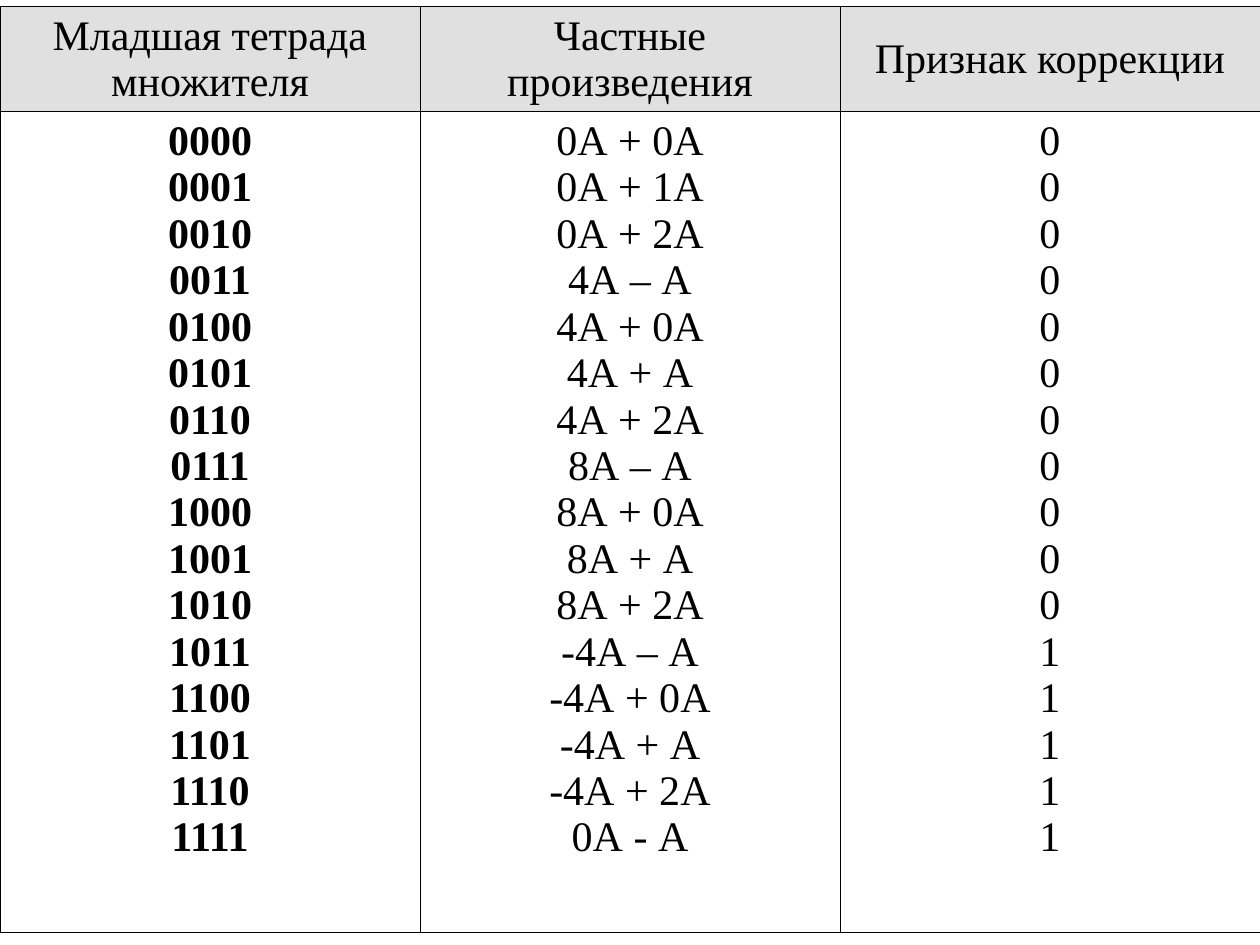
from lxml.etree import SubElement
from pptx import Presentation
from pptx.dml.color import RGBColor
from pptx.enum.text import MSO_ANCHOR, PP_ALIGN
from pptx.oxml.ns import qn
from pptx.util import Inches, Pt

BLACK = RGBColor(0x00, 0x00, 0x00)
HEADER_GRAY = RGBColor(0xE0, 0xE0, 0xE0)
FONT_NAME = "Times New Roman"
FONT_SIZE = Pt(24)
BORDER_WIDTH = Pt(0.45)

HEADERS = ["Младшая тетрада множителя", "Частные произведения", "Признак коррекции"]
PARTIAL_PRODUCTS = [
    "0А + 0А", "0А + 1А", "0А + 2А", "4А – А",
    "4А + 0А", "4А + А", "4А + 2А", "8А – А",
    "8А + 0А", "8А + А", "8А + 2А", "-4А – А",
    "-4А + 0А", "-4А + А", "-4А + 2А", "0А - А",
]
FIRST_CORRECTED = 11  # correction is needed from this tetrad on


def set_borders(cell):
    properties = cell._tc.get_or_add_tcPr()
    # Borders must come before the fill in the cell properties
    for index, side in enumerate(("a:lnL", "a:lnR", "a:lnT", "a:lnB")):
        line = SubElement(properties, qn(side), w=str(int(BORDER_WIDTH)))
        properties.insert(index, line)
        fill = SubElement(line, qn("a:solidFill"))
        SubElement(fill, qn("a:srgbClr"), val=str(BLACK))


def fill_cell(cell, lines, bold=False, color=None, anchor=MSO_ANCHOR.TOP):
    cell.margin_left = cell.margin_right = Inches(0.08)
    cell.margin_top = cell.margin_bottom = Inches(0.05)
    cell.vertical_anchor = anchor
    if color is None:
        cell.fill.background()
    else:
        cell.fill.solid()
        cell.fill.fore_color.rgb = color
    set_borders(cell)

    frame = cell.text_frame
    for index, text in enumerate(lines):
        paragraph = frame.add_paragraph() if index else frame.paragraphs[0]
        paragraph.alignment = PP_ALIGN.CENTER
        run = paragraph.add_run()
        run.text = text
        run.font.name = FONT_NAME
        run.font.size = FONT_SIZE
        run.font.bold = bold
        run.font.color.rgb = BLACK


def add_tetrad_table(slide, left, top, width, height):
    table = slide.shapes.add_table(2, len(HEADERS), left, top, width, height).table
    table.first_row = table.horz_banding = False
    for column in table.columns:
        column.width = width // len(HEADERS)
    header_row, body_row = table.rows
    header_row.height = Inches(0.81)
    body_row.height = height - header_row.height

    # Header row
    for index, header in enumerate(HEADERS):
        anchor = MSO_ANCHOR.MIDDLE if index == 2 else MSO_ANCHOR.TOP
        fill_cell(table.cell(0, index), [header], color=HEADER_GRAY, anchor=anchor)

    # Body: one paragraph for each tetrad value
    tetrads = range(len(PARTIAL_PRODUCTS))
    columns = [
        [format(tetrad, "04b") for tetrad in tetrads],
        PARTIAL_PRODUCTS,
        [str(int(tetrad >= FIRST_CORRECTED)) for tetrad in tetrads],
    ]
    for index, lines in enumerate(columns):
        fill_cell(table.cell(1, index), lines, bold=index == 0)


def main():
    presentation = Presentation()
    presentation.slide_width = Inches(10)
    presentation.slide_height = Inches(7.5)
    slide = presentation.slides.add_slide(presentation.slide_layouts[6])
    add_tetrad_table(slide, 0, Inches(0.05), presentation.slide_width, Inches(7.32))
    presentation.save("out.pptx")


if __name__ == "__main__":
    main()
